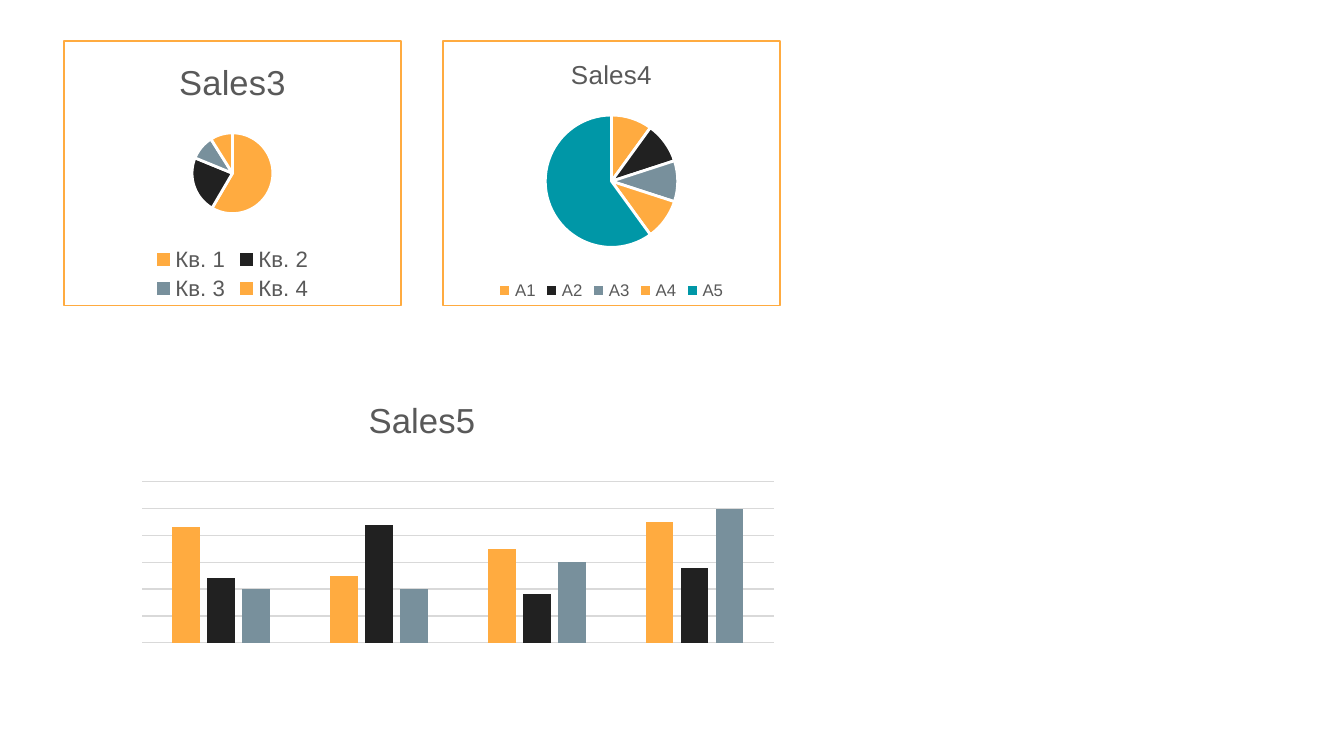
from lxml import etree
from pptx import Presentation
from pptx.chart.data import CategoryChartData
from pptx.dml.color import RGBColor
from pptx.enum.chart import XL_CHART_TYPE, XL_LEGEND_POSITION
from pptx.oxml import parse_xml
from pptx.oxml.ns import nsdecls
from pptx.util import Inches, Pt

PIE = XL_CHART_TYPE.PIE
COLUMNS = XL_CHART_TYPE.COLUMN_CLUSTERED
BOTTOM = XL_LEGEND_POSITION.BOTTOM

FONT = "Arial"
PALETTE = ["FFAB40", "212121", "78909C", "FFAB40", "0097A7"]
TEXT, GRID, BORDER, WHITE = "595959", "D9D9D9", "FFAB40", "FFFFFF"

PIES = [
    {"title": "Sales3", "title_size": 18.6, "legend_size": 12,
     "categories": ["Кв. 1", "Кв. 2", "Кв. 3", "Кв. 4"],
     "series": {"Series 1": [59, 23, 10, 9]}, "plot": (0.38, 0.34, 0.24, 0.32)},
    {"title": "Sales4", "title_size": 14, "legend_size": 9,
     "categories": ["A1", "A2", "A3", "A4", "A5"],
     "series": {"Sales4": [10, 10, 10, 10, 60]}, "plot": (0.3, 0.28, 0.4, 0.5)},
]
BARS = {
    "title": "Sales5", "title_size": 18.6, "categories": ["1", "2", "3", "4"],
    "series": {"Series 1": [86, 50, 70, 90], "Series 2": [48, 88, 36, 56],
               "Series 3": [40, 40, 60, 100]},
    "plot": (0.11, 0.33, 0.88, 0.51),
}

SLIDE_WIDTH = Inches(10)
SLIDE_HEIGHT = SLIDE_WIDTH * 9 // 16
LEFT, TOP, GAP = 0.47, 0.3, 0.3
PIE_WIDTH, PIE_HEIGHT = 2.52, 1.98
BARS_TOP, BARS_HEIGHT = 2.81, 2.35


def rgb(color):
    return RGBColor.from_string(color)


def style_font(font, size, color):
    font.name, font.size, font.bold = FONT, Pt(size), False
    font.color.rgb = rgb(color)


def style_line(line, color, width):
    line.color.rgb = rgb(color)
    line.width = Pt(width)


def set_plot_area(chart, shares):
    area = chart.element.xpath("c:chart/c:plotArea")[0]
    for layout in area.xpath("c:layout"):
        area.remove(layout)
    parts = '<c:layoutTarget val="inner"/><c:xMode val="edge"/><c:yMode val="edge"/>'
    parts += "".join(f'<c:{name} val="{share}"/>' for name, share in zip("xywh", shares))
    area.insert(0, parse_xml(
        f'<c:layout {nsdecls("c")}><c:manualLayout>{parts}</c:manualLayout></c:layout>'))


def set_border(chart, color, width):
    body = chart.element.xpath("c:chart")[0]
    body.addnext(parse_xml(
        f'<c:spPr {nsdecls("c", "a")}><a:noFill/><a:ln w="{Pt(width)}"><a:solidFill>'
        f'<a:srgbClr val="{color}"/></a:solidFill></a:ln></c:spPr>'))
    corners = etree.Element(body.tag.replace("}chart", "}roundedCorners"), val="0")
    body.addprevious(corners)


def add_chart(slide, kind, content, left, top, width, height):
    data = CategoryChartData()
    data.categories = content["categories"]
    for name, values in content["series"].items():
        data.add_series(name, values)
    box = [Inches(length) for length in (left, top, width, height)]
    chart = slide.shapes.add_chart(kind, *box, data).chart
    style_font(chart.font, 10, "000000")
    chart.has_title = True
    title = chart.chart_title
    title.include_in_layout = False
    paragraph = title.text_frame.paragraphs[0]
    paragraph.text = content["title"]
    style_font(paragraph.runs[0].font, content["title_size"], TEXT)
    set_plot_area(chart, content["plot"])
    return chart


def add_pie(slide, content, left):
    chart = add_chart(slide, PIE, content, left, TOP, PIE_WIDTH, PIE_HEIGHT)
    chart.has_legend = True
    chart.legend.position = BOTTOM
    chart.legend.include_in_layout = False
    style_font(chart.legend.font, content["legend_size"], TEXT)
    plot = chart.plots[0]
    plot.vary_by_categories = True
    for index in range(len(content["categories"])):
        slice_format = plot.series[0].points[index].format
        slice_format.fill.solid()
        slice_format.fill.fore_color.rgb = rgb(PALETTE[index])
        style_line(slice_format.line, WHITE, 1.5)
    set_border(chart, BORDER, 0.75)


def add_bars(slide, content):
    width = len(PIES) * PIE_WIDTH + GAP
    chart = add_chart(slide, COLUMNS, content, LEFT, BARS_TOP, width, BARS_HEIGHT)
    chart.has_legend = False
    plot = chart.plots[0]
    plot.vary_by_categories = False
    plot.gap_width, plot.overlap = 219, -27
    for series, color in zip(plot.series, PALETTE):
        series.format.fill.solid()
        series.format.fill.fore_color.rgb = rgb(color)
    axis = chart.value_axis
    axis.minimum_scale, axis.maximum_scale, axis.major_unit = 0, 120, 20
    axis.has_major_gridlines = True
    style_line(axis.major_gridlines.format.line, GRID, 0.75)
    axis.visible = chart.category_axis.visible = False


def main():
    """Build the sales slide with two pies above a column chart."""
    presentation = Presentation()
    presentation.slide_width, presentation.slide_height = SLIDE_WIDTH, SLIDE_HEIGHT
    slide = presentation.slides.add_slide(presentation.slide_layouts[6])
    for column, content in enumerate(PIES):
        add_pie(slide, content, LEFT + column * (PIE_WIDTH + GAP))
    add_bars(slide, BARS)
    presentation.save("out.pptx")


if __name__ == "__main__":
    main()
